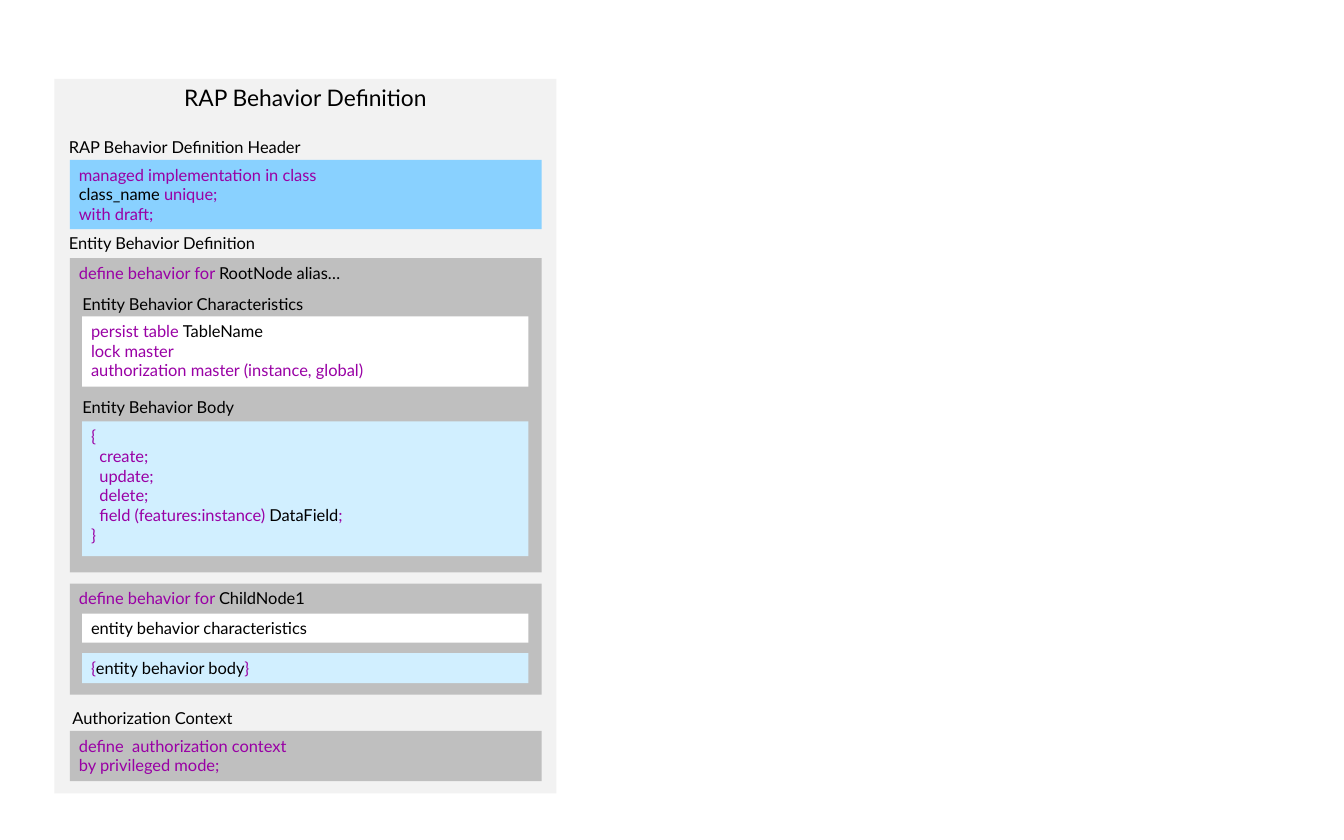
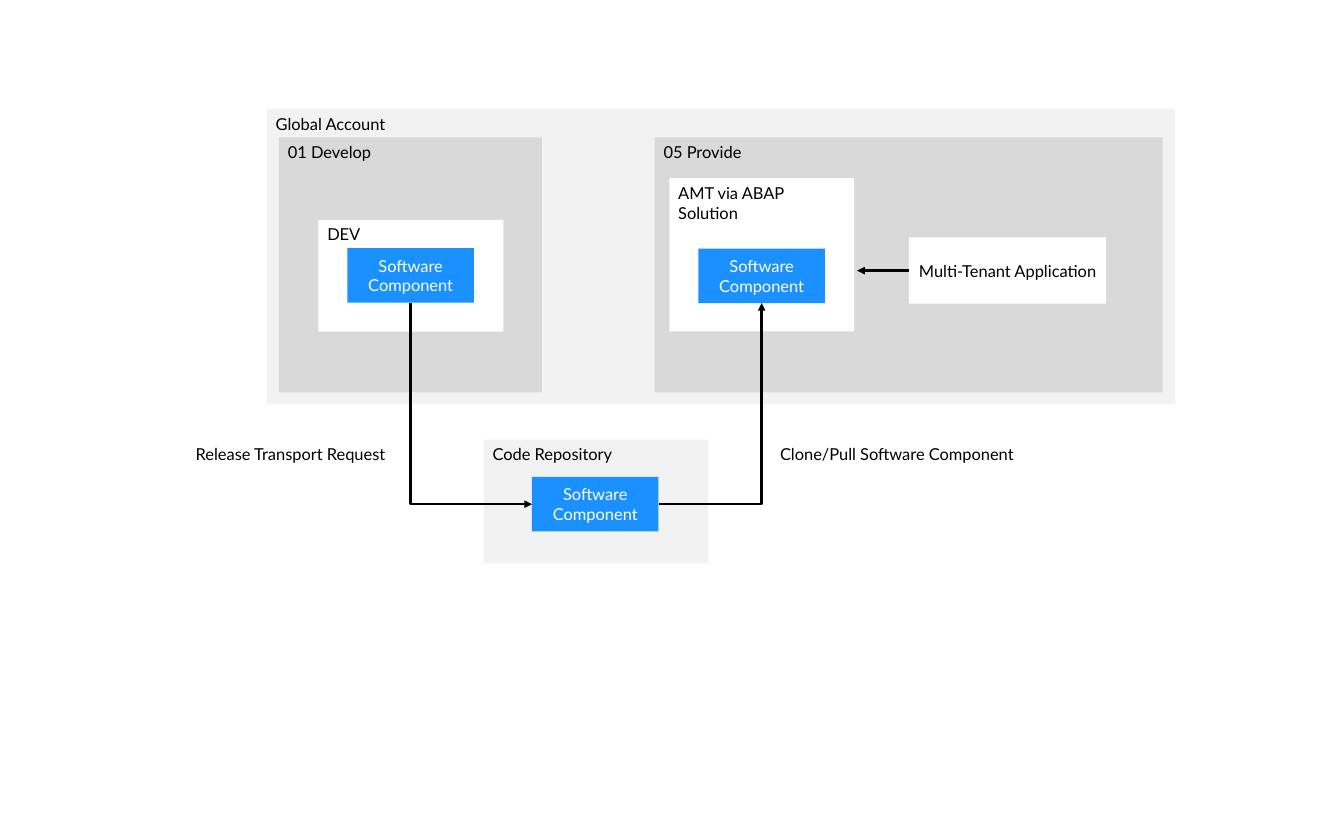
from lxml import etree
from pptx import Presentation
from pptx.dml.color import RGBColor
from pptx.enum import shapes, text
from pptx.oxml import ns
from pptx.util import Cm, Pt

FONT = "Lato"
BLACK = RGBColor(0x00, 0x00, 0x00)
WHITE = RGBColor(0xFF, 0xFF, 0xFF)
KEYWORD = RGBColor(0x99, 0x00, 0xA5)
PANEL = RGBColor(0xF2, 0xF2, 0xF2)
SUBACCOUNT = RGBColor(0xD9, 0xD9, 0xD9)
ENTITY = RGBColor(0xBF, 0xBF, 0xBF)
HEADER = RGBColor(0x89, 0xD1, 0xFF)
BODY = RGBColor(0xD1, 0xEF, 0xFF)
COMPONENT = RGBColor(0x1B, 0x90, 0xFF)

LABEL_HEIGHT = 0.81
FRAME_FORMAT = {
    "word_wrap": True,
    "margin_left": Cm(0.25),
    "margin_right": Cm(0.25),
    "margin_top": Cm(0.13),
    "margin_bottom": Cm(0.13),
}


def within(box, left, top, width, height):
    """Turn a position inside box into a position on the slide."""
    return box[0] + left, box[1] + top, width, height


def plain(words):
    return [[(words, BLACK)]]


def code(*lines):
    """Each line alternates keyword and plain parts, keyword first."""
    return [[(part, (KEYWORD, BLACK)[i % 2]) for i, part in enumerate(line) if part]
            for line in lines]


def write(frame, lines, size=13, centred=False, middle=False):
    for name, value in FRAME_FORMAT.items():
        setattr(frame, name, value)
    anchors = text.MSO_ANCHOR
    frame.vertical_anchor = anchors.MIDDLE if middle else anchors.TOP
    for index, line in enumerate(lines):
        paragraph = frame.paragraphs[0] if index == 0 else frame.add_paragraph()
        paragraph.alignment = text.PP_ALIGN.CENTER if centred else text.PP_ALIGN.LEFT
        for words, colour in line:
            run = paragraph.add_run()
            run.text = words
            run.font.color.rgb = colour
            for name, value in {"name": FONT, "size": Pt(size)}.items():
                setattr(run.font, name, value)


def block(slide, box, fill, lines=(), **style):
    rectangle = slide.shapes.add_shape(
        shapes.MSO_SHAPE.RECTANGLE, *(Cm(length) for length in box))
    rectangle.shadow.inherit = False
    rectangle.fill.solid()
    rectangle.fill.fore_color.rgb = fill
    rectangle.line.fill.background()
    write(rectangle.text_frame, lines, **style)
    return rectangle


def label(slide, box, words):
    caption = slide.shapes.add_textbox(*(Cm(length) for length in box))
    write(caption.text_frame, plain(words))


def arrow(slide, kind, begin, end=(0, 0)):
    """Add a black connector with an arrowhead at its end."""
    connector = slide.shapes.add_connector(kind, *begin, *end)
    connector.line.color.rgb = BLACK
    connector.line.width = Pt(2)
    etree.SubElement(connector.line._get_or_add_ln(), ns.qn("a:tailEnd"), type="triangle")
    etree.SubElement(connector._element.spPr, ns.qn("a:effectLst"))
    return connector


def corner_arrow(slide, repository, side, target, at_repository):
    """Join a side of the repository component to the bottom of target with one bend."""
    connector = arrow(slide, shapes.MSO_CONNECTOR.ELBOW, (0, 0))
    connector.begin_connect(repository, side)
    connector.end_connect(target, 2)
    connector._element.spPr.find(ns.qn("a:prstGeom")).set("prst", "bentConnector2")
    if at_repository:
        head = connector.line._get_or_add_ln().find(ns.qn("a:tailEnd"))
        head.tag = ns.qn("a:headEnd")


def behavior_definition(slide, box):
    block(slide, box, PANEL, plain("RAP Behavior Definition"), size=18, centred=True)
    outer, inner = (0.43, 13.16), (0.77, 12.45)
    sections = [
        (outer, 2.26, 1.93, HEADER, code(
            ("managed implementation in class",),
            ("", "class_name ", "unique;"),
            ("with draft;",))),
        (outer, 5.0, 8.76, ENTITY, code(("define behavior for ", "RootNode alias…"))),
        (inner, 6.62, 1.96, WHITE, code(
            ("persist table ", "TableName"),
            ("lock master",),
            ("authorization master (instance, global)",))),
        (inner, 9.55, 3.76, BODY, code(
            ("{",), ("  create;",), ("  update;",), ("  delete;",),
            ("  field (features:instance) ", "DataField", ";"),
            ("}",))),
        (outer, 14.07, 3.1, ENTITY, code(("define behavior for ", "ChildNode1"))),
        (inner, 14.91, 0.81, WHITE, plain("entity behavior characteristics")),
        (inner, 16.01, 0.84, BODY, code(("{", "entity behavior body", "}"))),
        (outer, 18.18, 1.4, ENTITY, code(
            ("define  authorization context",), ("by privileged mode;",))),
    ]
    for (left, width), top, height, fill, lines in sections:
        block(slide, within(box, left, top, width, height), fill, lines)
    captions = [
        (0.15, 1.5, "RAP Behavior Definition Header"),
        (0.15, 4.17, "Entity Behavior Definition"),
        (0.53, 5.87, "Entity Behavior Characteristics"),
        (0.53, 8.74, "Entity Behavior Body"),
        (0.25, 17.4, "Authorization Context"),
    ]
    for left, top, words in captions:
        label(slide, within(box, left, top, 7.11, LABEL_HEIGHT), words)


def software_component(slide, box, left, top):
    return block(slide, within(box, left, top, 3.53, 1.52), COMPONENT,
                 [[("Software Component", WHITE)]], centred=True, middle=True)


def develop(slide, box):
    block(slide, box, SUBACCOUNT, plain("01 Develop"))
    dev = within(box, 1.1, 2.3, 5.16, 3.12)
    block(slide, dev, WHITE, plain("DEV"))
    return software_component(slide, dev, 0.81, 0.79)


def provide(slide, box):
    block(slide, box, SUBACCOUNT, plain("05 Provide"))
    solution = within(box, 0.41, 1.14, 5.16, 4.27)
    solution_block = block(slide, solution, WHITE, plain("AMT via ABAP Solution"))
    component = software_component(slide, solution, 0.81, 1.96)
    application = block(slide, within(box, 7.09, 2.79, 5.51, 1.85), WHITE,
                        plain("Multi-Tenant Application"), centred=True, middle=True)
    middle = application.top + application.height // 2
    access = arrow(slide, shapes.MSO_CONNECTOR.STRAIGHT, (application.left, middle),
                   (solution_block.left + solution_block.width + Cm(0.08), middle))
    access.begin_connect(application, 1)
    return component


def global_account(slide, box):
    """Draw both subaccounts and return their software components."""
    block(slide, box, PANEL, plain("Global Account"))
    return (develop(slide, within(box, 0.34, 0.79, 7.34, 7.11)),
            provide(slide, within(box, 10.82, 0.79, 14.17, 7.11)))


def repository(slide, box):
    block(slide, box, PANEL, plain("Code Repository"))
    return software_component(slide, box, 1.35, 1.04)


def transport_landscape(slide, box):
    developed, provided = global_account(slide, within(box, 2.23, 0, 25.35, 8.23))
    stored = repository(slide, within(box, 8.28, 9.22, 6.27, 3.45))
    corner_arrow(slide, stored, 1, developed, at_repository=True)
    corner_arrow(slide, stored, 3, provided, at_repository=False)
    label(slide, within(box, 0, 9.22, 6.07, LABEL_HEIGHT), "Release Transport Request")
    label(slide, within(box, 16.3, 9.22, 7.16, LABEL_HEIGHT), "Clone/Pull Software Component")


def main():
    deck = Presentation()
    deck.slide_width, deck.slide_height = Cm(37.49), Cm(23.42)
    pages = [
        (behavior_definition, (1.52, 2.2, 14.0, 19.92)),
        (transport_landscape, (5.21, 3.04, 27.58, 12.67)),
    ]
    for draw, box in pages:
        draw(deck.slides.add_slide(deck.slide_layouts[6]), box)
    deck.save("out.pptx")


if __name__ == "__main__":
    main()
